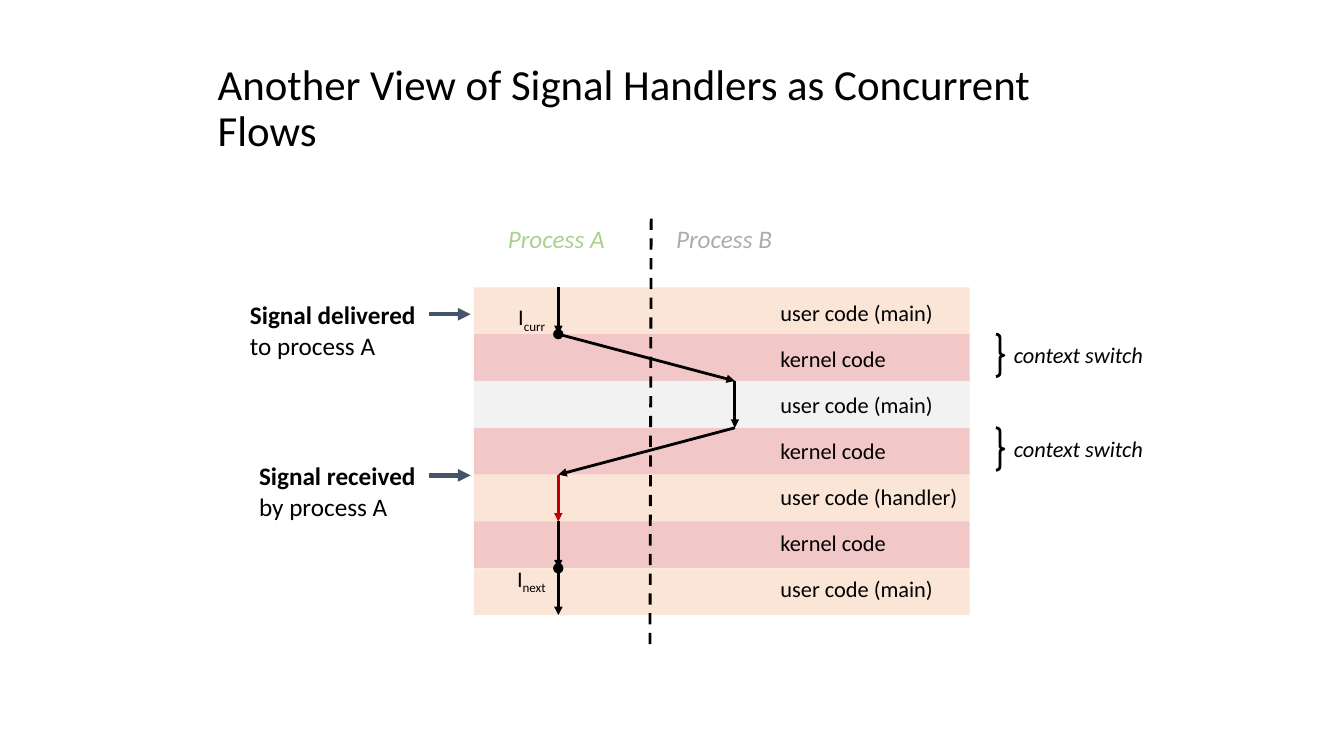
import pptx
import pptx.util
import pptx.dml.color
import pptx.enum.dml
import pptx.enum.shapes
import pptx.enum.text
import pptx.oxml
import pptx.oxml.ns
from lxml import etree

Cm, Pt = pptx.util.Cm, pptx.util.Pt
RGBColor = pptx.dml.color.RGBColor
Shape = pptx.enum.shapes.MSO_SHAPE
qn = pptx.oxml.ns.qn

BLACK = RGBColor(0x00, 0x00, 0x00)
SLATE = RGBColor(0x44, 0x54, 0x6A)
RED = RGBColor(0xC0, 0x00, 0x00)
GREEN = RGBColor(0xA9, 0xD1, 0x8E)
GREY = RGBColor(0xAF, 0xAB, 0xAB)
USER_A = RGBColor(0xFB, 0xE5, 0xD6)
USER_B = RGBColor(0xF2, 0xF2, 0xF2)
KERNEL = RGBColor(0xF1, 0xC7, 0xC7)


class SlideBuilder:
    """Holds the style and the current slide; all lengths are centimetres."""
    font_name = "Calibri"

    def __init__(self, slide):
        self.slide = slide

    def format_run(self, run, size, color=BLACK, bold=False, italic=False):
        run.font.name = self.font_name
        run.font.size = Pt(size)
        run.font.color.rgb = color
        run.font.bold = bold
        run.font.italic = italic

    def title(self, text, left, top, width, height):
        shape = self.slide.shapes.title
        shape.left, shape.top = Cm(left), Cm(top)
        shape.width, shape.height = Cm(width), Cm(height)
        frame = shape.text_frame
        frame.text = text
        frame.word_wrap = True
        frame.auto_size = pptx.enum.text.MSO_AUTO_SIZE.NONE
        frame.vertical_anchor = pptx.enum.text.MSO_ANCHOR.MIDDLE
        paragraph = frame.paragraphs[0]
        paragraph.alignment = pptx.enum.text.PP_ALIGN.LEFT
        paragraph.line_spacing = 0.9
        self.format_run(paragraph.runs[0], 30.6)

    def text(self, text, left, top, width, height, size=16, inset=None, **style):
        box = self.slide.shapes.add_textbox(Cm(left), Cm(top), Cm(width), Cm(height))
        frame = box.text_frame
        frame.text = text
        frame.word_wrap = False
        frame.auto_size = pptx.enum.text.MSO_AUTO_SIZE.SHAPE_TO_FIT_TEXT
        if inset is not None:
            frame.margin_left = frame.margin_right = Cm(inset)
            frame.margin_top = frame.margin_bottom = Cm(inset)
        for paragraph in frame.paragraphs:
            for run in paragraph.runs:
                self.format_run(run, size, **style)
        return frame

    def subscripted(self, text, subscript, left, top, width):
        frame = self.text(text, left, top, width, 0.94, inset=0.13)
        run = frame.paragraphs[0].add_run()
        run.text = subscript
        self.format_run(run, 16)
        run._r.get_or_add_rPr().set("baseline", "-25000")

    def shape(self, kind, left, top, width, height, fill=None, line=None):
        shape = self.slide.shapes.add_shape(kind, Cm(left), Cm(top), Cm(width), Cm(height))
        shape.shadow.inherit = False
        if fill is None:
            shape.fill.background()
        else:
            shape.fill.solid()
            shape.fill.fore_color.rgb = fill
        if line is None:
            shape.line.fill.background()
        else:
            shape.line.color.rgb = line
            shape.line.width = Pt(2)
        return shape

    def line(self, start, end, color=BLACK, width=2, dashed=False, arrow=True):
        connector = self.slide.shapes.add_connector(
            pptx.enum.shapes.MSO_CONNECTOR.STRAIGHT,
            Cm(start[0]), Cm(start[1]), Cm(end[0]), Cm(end[1]))
        connector.line.color.rgb = color
        connector.line.width = Pt(width)
        if dashed:
            connector.line.dash_style = pptx.enum.dml.MSO_LINE.DASH
        if arrow:
            outline = connector.line._get_or_add_ln()
            etree.SubElement(outline, qn("a:tailEnd"), type="triangle")
        etree.SubElement(connector._element.spPr, qn("a:effectLst"))


presentation = pptx.Presentation()
presentation.slide_width, presentation.slide_height = Cm(33.87), Cm(19.05)
builder = SlideBuilder(presentation.slides.add_slide(presentation.slide_layouts[5]))
builder.title("Another View of Signal Handlers as Concurrent Flows", 5.23, 1.7, 21.08, 2.11)

# Bands of user and kernel code
BAND_LEFT, BAND_TOP, BAND_WIDTH, BAND_HEIGHT = 11.94, 7.24, 12.5, 1.18
LABEL_TOP, LABEL_STEP = 7.42, 1.16
bands = [
    ("user code (main)", USER_A, 4.47),
    ("kernel code", KERNEL, 3.25),
    ("user code (main)", USER_B, 4.47),
    ("kernel code", KERNEL, 3.25),
    ("user code (handler)", USER_A, 5.13),
    ("kernel code", KERNEL, 3.25),
    ("user code (main)", USER_A, 4.47),
]
edges = [BAND_TOP + BAND_HEIGHT * index for index in range(len(bands) + 1)]
for index, (label, color, label_width) in enumerate(bands):
    builder.shape(Shape.RECTANGLE, BAND_LEFT, edges[index], BAND_WIDTH, BAND_HEIGHT, fill=color)
    builder.text(label, 19.42, LABEL_TOP + LABEL_STEP * index, label_width, 0.94)

# Process headings and divider
builder.text("Process A", 12.55, 5.51, 3.05, 1.02, size=18, color=GREEN, italic=True)
builder.text("Process B", 16.79, 5.51, 3.02, 1.02, size=18, color=GREY, italic=True)
builder.line((16.41, 5.51), (16.38, 16.43), dashed=True, arrow=False)

# Signal events on the left
for event, process, left, top, width in [
    ("Signal delivered", "to process A", 6.17, 7.42, 4.5),
    ("Signal received", "by process A", 6.4, 11.48, 4.24),
]:
    frame = builder.text(event + "\n" + process, left, top, width, 1.8, size=18, inset=0.13)
    frame.paragraphs[0].runs[0].font.bold = True
    builder.line((10.8, top + 0.5), (11.86, top + 0.5), color=SLATE, width=3)

# Context switches on the right
for top in (edges[1], edges[3]):
    brace = builder.shape(Shape.RIGHT_BRACE, 25.1, top, 0.2, 1.07, line=BLACK)
    brace.adjustments[0] = 0.417
    builder.text("context switch", 25.3, top + 0.05, 3.91, 0.94, italic=True)

# Control flow: one arrow through each band
A_X, B_X = 14.07, 18.52
flow_x = [A_X, A_X, B_X, B_X, A_X, A_X, A_X, A_X]
points = list(zip(flow_x, edges))
HANDLER_BAND = 4
for index, (start, end) in enumerate(zip(points, points[1:])):
    builder.line(start, end, color=RED if index == HANDLER_BAND else BLACK)

# Current and next instruction
DOT = 0.26
builder.subscripted("I", "curr", 12.93, 7.52, 1.04)
builder.subscripted("I", "next", 12.9, 14.1, 1.12)
for x, y in (points[1], points[6]):
    builder.shape(Shape.OVAL, x - DOT / 2, y - DOT / 2, DOT, DOT, fill=BLACK)

presentation.save("out.pptx")
